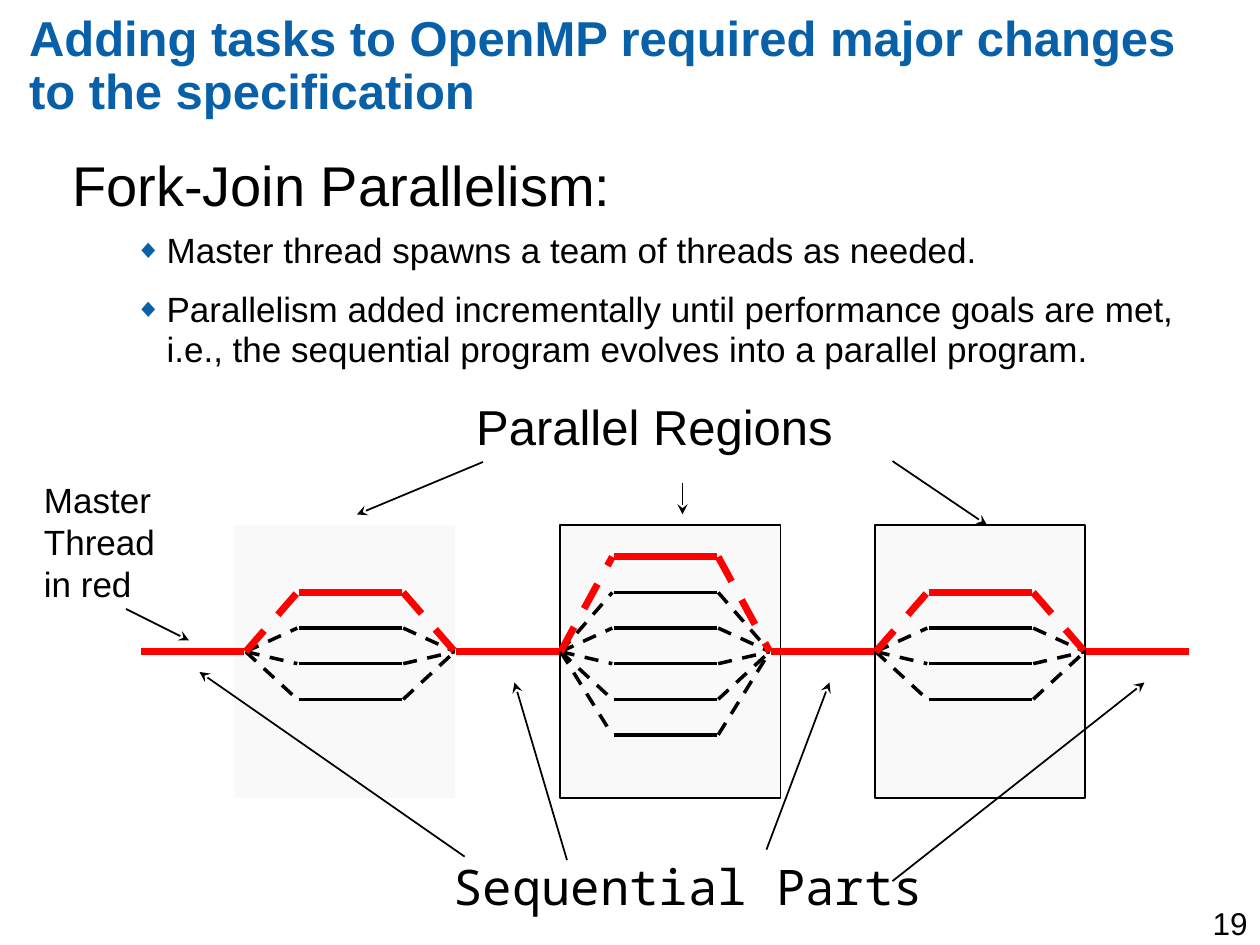
from lxml.etree import SubElement
from pptx import Presentation
from pptx.dml.color import RGBColor
from pptx.enum.dml import MSO_LINE
from pptx.enum.shapes import MSO_CONNECTOR, MSO_SHAPE
from pptx.enum.text import MSO_ANCHOR, MSO_AUTO_SIZE, PP_ALIGN
from pptx.oxml.ns import qn
from pptx.util import Pt

BLACK, RED, BLUE, GREY = "000000", "FF0000", "0860A8", "F9F9F9"


def add_text(p, text, size, color=BLACK, font="Arial", bold=False):
    r = p.add_run()
    r.text = text
    r.font.size = Pt(size)
    r.font.name = font
    r.font.bold = bold
    r.font.color.rgb = RGBColor.from_string(color)


def add_line(shapes, x1, y1, x2, y2, color=BLACK, width=1, dash=False, arrow=False):
    c = shapes.add_connector(MSO_CONNECTOR.STRAIGHT, Pt(x1), Pt(y1), Pt(x2), Pt(y2))
    c.line.color.rgb = RGBColor.from_string(color)
    c.line.width = Pt(width)
    if dash:
        c.line.dash_style = MSO_LINE.DASH
    if arrow:
        SubElement(c.line._get_or_add_ln(), qn("a:tailEnd"), type="stealth")
    SubElement(c._element.spPr, qn("a:effectLst"))


prs = Presentation()
prs.slide_width, prs.slide_height = Pt(720), Pt(540)
s = prs.slides.add_slide(prs.slide_layouts[1])

title = s.shapes.title
title.left, title.top, title.width, title.height = Pt(16.6), Pt(8.6), Pt(680), Pt(78)
tf = title.text_frame
tf.margin_left = tf.margin_right = tf.margin_top = tf.margin_bottom = 0
tf.vertical_anchor = MSO_ANCHOR.TOP
tf.auto_size = MSO_AUTO_SIZE.NONE
p = tf.paragraphs[0]
p.alignment = PP_ALIGN.LEFT
p.line_spacing = 0.89
add_text(p, "Adding tasks to OpenMP required major changes to the specification", 28, BLUE, bold=True)

body = s.placeholders[1]
body.left, body.top, body.width, body.height = Pt(34), Pt(85.7), Pt(672), Pt(192)
tf = body.text_frame
tf.auto_size = MSO_AUTO_SIZE.NONE
items = [
    ("Fork-Join Parallelism:", 32, 0, 0),
    ("Master thread spawns a team of threads as needed.", 20, 1, 7),
    ("Parallelism added incrementally until performance goals are met, "
     "i.e., the sequential program evolves into a parallel program.", 20, 1, 11.5),
]
for i, (text, size, level, before) in enumerate(items):
    p = tf.add_paragraph() if i else tf.paragraphs[0]
    p.level = level
    p.line_spacing = 0.94
    p.space_before = Pt(before)
    pPr = p._p.get_or_add_pPr()
    margin, indent = (54, -18) if level else (22.5, -22.5)
    pPr.set("marL", str(Pt(margin)))
    pPr.set("indent", str(Pt(indent)))
    if level:
        SubElement(SubElement(pPr, qn("a:buClr")), qn("a:srgbClr"), val=BLUE)
        SubElement(pPr, qn("a:buSzPct"), val="75000")
        SubElement(pPr, qn("a:buFont"), typeface="Arial")
        SubElement(pPr, qn("a:buChar"), char="◆")
    else:
        SubElement(pPr, qn("a:buNone"))
    add_text(p, text, size)

for x, w, outlined in [(500, 120, True), (320, 126, True), (134, 126, False)]:
    sp = s.shapes.add_shape(MSO_SHAPE.RECTANGLE, Pt(x), Pt(300), Pt(w), Pt(156))
    sp.shadow.inherit = False
    sp.fill.solid()
    sp.fill.fore_color.rgb = RGBColor.from_string(GREY)
    if outlined:
        sp.line.color.rgb = RGBColor.from_string(BLACK)
        sp.line.width = Pt(0.75)
    else:
        sp.line.fill.background()

period, axis = 180, 372.4
for i, lanes in enumerate([range(1, 5), range(6), range(1, 5)]):
    x = 140.4 + period * i
    for lane in reversed(lanes):
        y = 318.2 + 20.35 * lane
        color, width = (RED, 4) if lane == lanes[0] else (BLACK, 2)
        add_line(s.shapes, x, axis, x + 29.5, y, color, width, dash=True)
        add_line(s.shapes, x + 30.2, y, x + 89.3, y, color, width)
        add_line(s.shapes, x + 90, y, x + 119.5, axis, color, width, dash=True)
for i in range(4):
    x = 80.6 + period * i
    add_line(s.shapes, x, axis, x + 59, axis, RED, 4)

labels = [
    ("Parallel Regions", 28, "Arial", (265, 223.2, 306, 41),
     [(510, 263.5, 564, 300), (276, 264, 204, 294), (390, 276, 390, 294)]),
    ("Master Thread in red", 20, "Arial", (18, 270, 95, 79),
     [(72, 348, 108, 366)]),
    ("Sequential Parts", 28, "Noto Sans Mono", (252, 486, 300, 41),
     [(510, 503.5, 654, 390), (438, 485.5, 474, 390),
      (265.5, 489.5, 114, 384), (324, 491.5, 294, 390)]),
]
for text, size, font, box, arrows in labels:
    group = s.shapes.add_group_shape()
    sp = group.shapes.add_textbox(*[Pt(v) for v in box])
    tf = sp.text_frame
    tf.word_wrap = True
    tf.auto_size = MSO_AUTO_SIZE.SHAPE_TO_FIT_TEXT
    add_text(tf.paragraphs[0], text, size, font=font)
    for ends in arrows:
        add_line(group.shapes, *ends, arrow=True)

number = s.shapes.add_textbox(Pt(570), Pt(513), Pt(150), Pt(27))
number.text_frame.word_wrap = True
p = number.text_frame.paragraphs[0]
p.alignment = PP_ALIGN.RIGHT
add_text(p, "19", 18)

prs.save("out.pptx")
